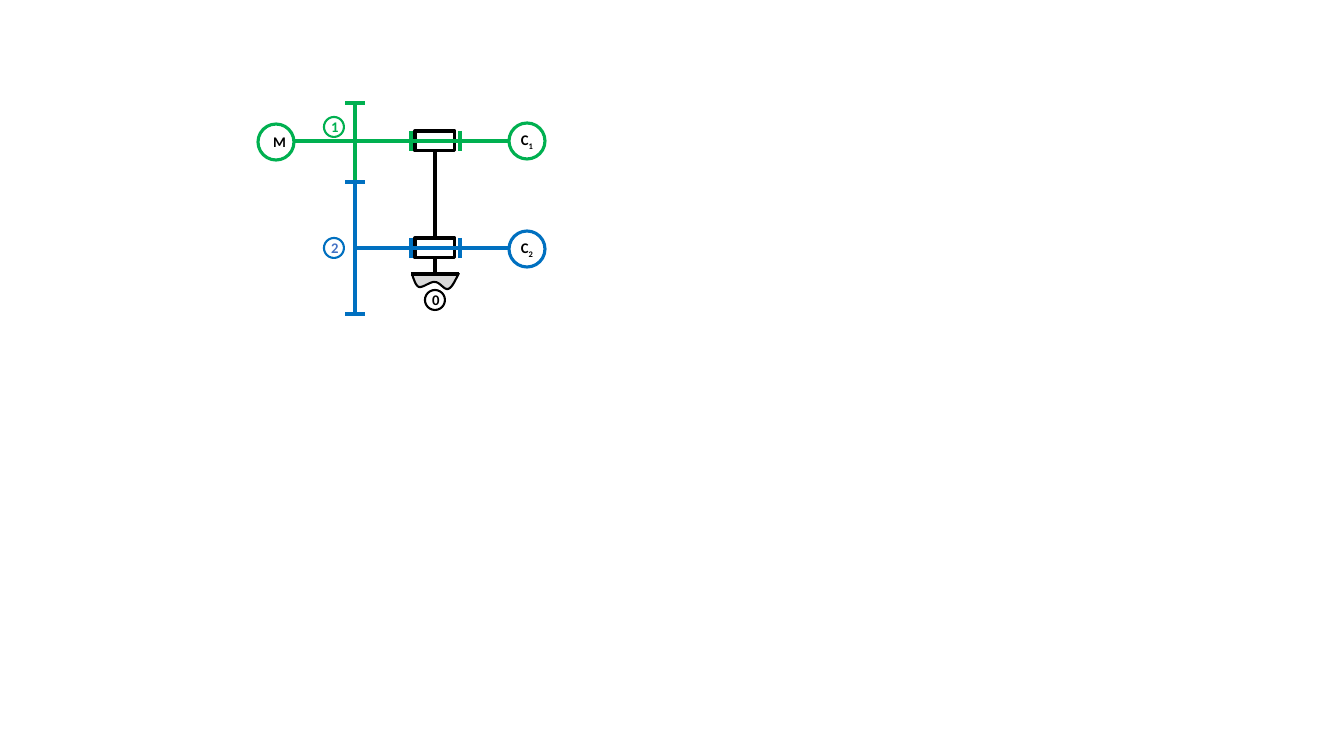
import pptx
import pptx.util
import pptx.dml.color
import pptx.enum.shapes
import pptx.enum.text
import pptx.oxml.ns
import lxml.etree

PX = 914400 / 100.8
HUES = {"black": "000000", "green": "00B050", "blue": "0070C0",
        "text": "4472C4", "ground": "D9D9D9", "white": "FFFFFF"}
KINDS = pptx.enum.shapes.MSO_SHAPE


def style(item, hue, width, fill=None):
    """Set the line and fill of a shape or connector, without shadow."""
    item.line.color.rgb = pptx.dml.color.RGBColor.from_string(HUES[hue])
    item.line.width = pptx.util.Pt(width)
    if isinstance(item, pptx.shapes.connector.Connector):
        lxml.etree.SubElement(item._element.spPr, pptx.oxml.ns.qn("a:effectLst"))
        return
    item.shadow.inherit = False
    if fill:
        item.fill.solid()
        item.fill.fore_color.rgb = pptx.dml.color.RGBColor.from_string(HUES[fill])
    else:
        item.fill.background()


def draw(x1, y1, x2, y2, hue):
    """Draw a straight line between two points in px."""
    ends = [round(n * PX) for n in (x1, y1, x2, y2)]
    line = slide.shapes.add_connector(
        pptx.enum.shapes.MSO_CONNECTOR.STRAIGHT, *ends)
    style(line, hue, 2.25)
    return line


deck = pptx.Presentation()
deck.slide_width = round(1344 * PX)
deck.slide_height = round(756 * PX)
slide = deck.slides.add_slide(deck.slide_layouts[6])

# Shared axes of the gear train
POST, GEAR = 435, 355
UPPER, LOWER = 141, 248

# Ground: Bezier arcs, sampled in small steps
arcs = [((414, 280), (416, 286), (419, 287)),
        ((423, 288), (431, 281), (435, 282)),
        ((440, 282), (444, 290), (448, 289)),
        ((452, 288), (455, 281), (459, 273))]
start = (412, 274)
points = [start]
for one, two, end in arcs:
    for step in range(1, 9):
        t = step / 8
        points.append([(1 - t) ** 3 * a + 3 * t * (1 - t) ** 2 * b
                       + 3 * t * t * (1 - t) * c + t ** 3 * d
                       for a, b, c, d in zip(start, one, two, end)])
    start = end
points = [(x * PX, y * PX) for x, y in points]
path = slide.shapes.build_freeform(*points[0], scale=1)
path.add_line_segments(points[1:], close=False)
style(path.convert_to_shape(), "black", 1.5, "ground")
draw(411, 274, 459, 274, "black")

# Bearings with their end stops
boxes = []
for mid, hue in ((UPPER, "green"), (LOWER, "blue")):
    box = slide.shapes.add_shape(
        KINDS.RECTANGLE, round((POST - 20) * PX), round((mid - 10) * PX),
        round(40 * PX), round(20 * PX))
    style(box, "black", 2.25, "white")
    boxes.append(box)
    for x in (411, 460):
        draw(x, mid - 10, x, mid + 10, hue)

# Post between the bearings and down to the ground
post = draw(POST, UPPER + 10, POST, LOWER - 10, "black")
post.begin_connect(boxes[0], 2)
post.end_connect(boxes[1], 0)
stem = draw(POST, LOWER + 10, POST, 273, "black")
stem.begin_connect(boxes[1], 2)

# Gears and shafts
for top, base, mid, left, hue in ((103, 182, UPPER, 293, "green"),
                                  (182, 314, LOWER, GEAR, "blue")):
    draw(509, mid, left, mid, hue)
    draw(GEAR, base, GEAR, top, hue)
    for y in (top, base):
        draw(GEAR + 10, y, GEAR - 10, y, hue)

# Circles: left, top, size, text, subscript, line hue, text hue
rings = [(425, 290, 20, "0", "", "black", "black"),
         (258, 124, 36, "M", "", "green", "black"),
         (509, 123, 36, "C", "1", "green", "black"),
         (509, 231, 36, "C", "2", "blue", "black"),
         (324, 238, 20, "2", "", "blue", "text"),
         (324, 117, 20, "1", "", "green", "green")]
for left, top, size, word, sub, hue, ink in rings:
    ring = slide.shapes.add_shape(
        KINDS.OVAL, *[round(n * PX) for n in (left, top, size, size)])
    style(ring, hue, 1.5 if size == 20 else 2.25)
    frame = ring.text_frame
    frame.text = word
    frame.vertical_anchor = pptx.enum.text.MSO_ANCHOR.MIDDLE
    para = frame.paragraphs[0]
    para.alignment = pptx.enum.text.PP_ALIGN.CENTER
    if sub:
        frame.margin_left = frame.margin_right = 0
        frame.margin_top = frame.margin_bottom = 0
        low = para.add_run()
        low.text = sub
        low._r.get_or_add_rPr().set("baseline", "-25000")
    for run in para.runs:
        run.font.name = "Calibri"
        run.font.size = pptx.util.Pt(10.5)
        run.font.bold = True
        run.font.color.rgb = pptx.dml.color.RGBColor.from_string(HUES[ink])

deck.save("out.pptx")
